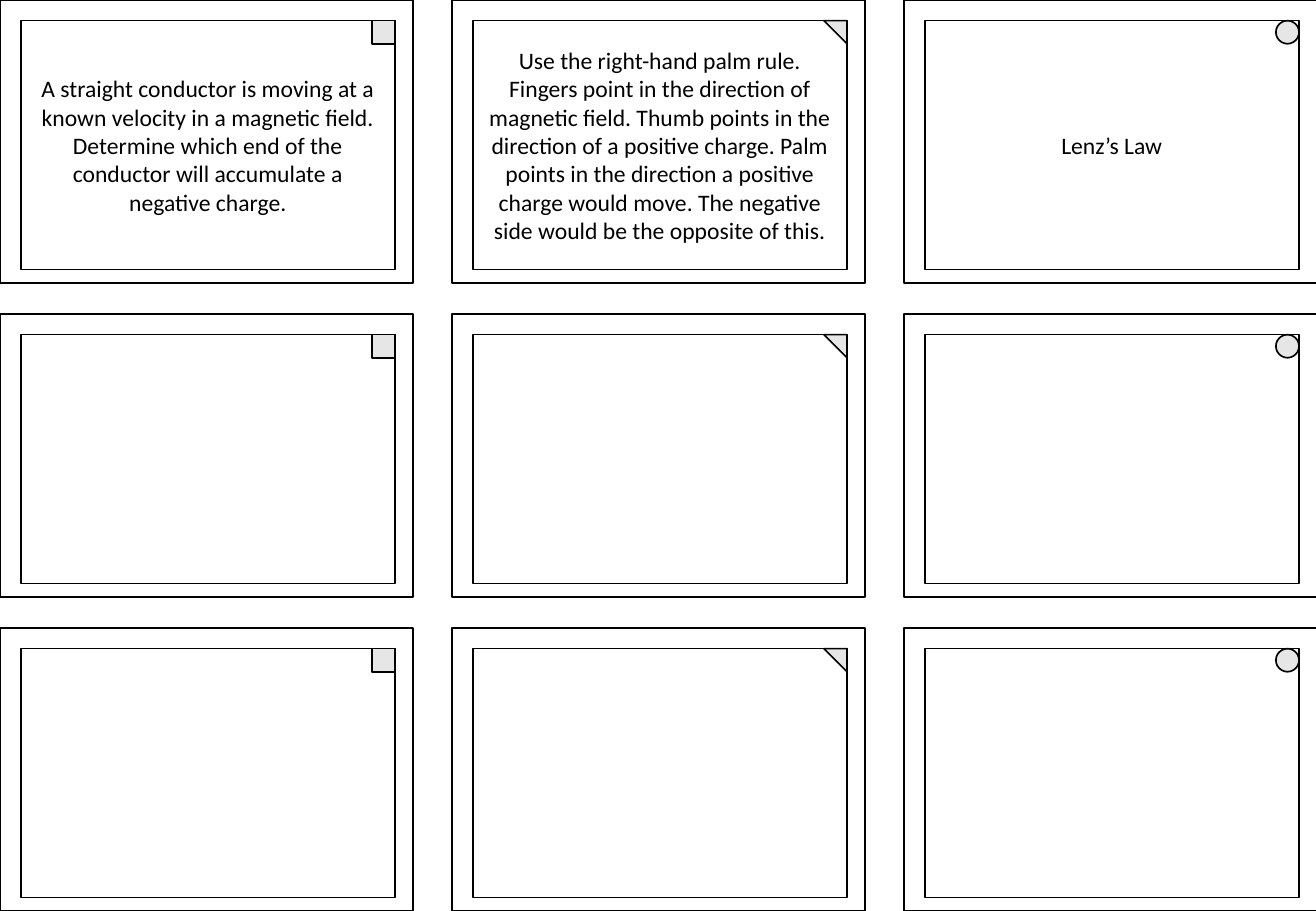
from pptx import Presentation
from pptx.dml.color import RGBColor
from pptx.enum.shapes import MSO_SHAPE as Shape
from pptx.enum.text import MSO_ANCHOR as Anchor, PP_ALIGN as Align
from pptx.util import Inches, Pt

COLORS = {"ink": "000000", "badge": "E7E6E6"}
FONT = {"name": "Calibri", "size": Pt(14)}

PAGE_WIDTH, PAGE_HEIGHT = 10.83, 7.5
CARD_WIDTH, CARD_HEIGHT = 3.4, 2.33
COLUMN_STEP = 3.72
ROW_STEP = (PAGE_HEIGHT - CARD_HEIGHT) / 2
ROWS = 3
MARGIN = 0.17
FRAME_WIDTH, FRAME_HEIGHT = 3.08, 2.05
BADGE_SIZE = 0.19

# One column per kind of card: badge shape, badge rotation, text of the top card
COLUMNS = [
    (Shape.RECTANGLE, 0,
     "A straight conductor is moving at a known velocity in a magnetic field. "
     "Determine which end of the conductor will accumulate a negative charge."),
    (Shape.RIGHT_TRIANGLE, 180,
     "Use the right-hand palm rule. Fingers point in the direction of magnetic "
     "field. Thumb points in the direction of a positive charge. Palm points in "
     "the direction a positive charge would move. The negative side would be "
     "the opposite of this."),
    (Shape.OVAL, 180, "Lenz’s Law"),
]


class CardSheet:
    """Draws cards on one page, placed by column and row of the grid."""

    def __init__(self, page):
        self.page = page

    def outline(self, shapes, kind, left, top, width, height, fill=None):
        shape = shapes.add_shape(
            kind, Inches(left), Inches(top), Inches(width), Inches(height))
        shape.shadow.inherit = False
        if fill:
            shape.fill.solid()
            shape.fill.fore_color.rgb = RGBColor.from_string(COLORS[fill])
        else:
            shape.fill.background()
        shape.line.color.rgb = RGBColor.from_string(COLORS["ink"])
        shape.line.width = Pt(1)
        return shape

    def label(self, box, text):
        box.text_frame.word_wrap = True
        box.text_frame.vertical_anchor = Anchor.MIDDLE
        para = box.text_frame.paragraphs[0]
        para.alignment = Align.CENTER
        span = para.add_run()
        span.text = text
        for name, value in FONT.items():
            setattr(span.font, name, value)
        span.font.color.rgb = RGBColor.from_string(COLORS["ink"])

    def card(self, column, row, text=None):
        left, top = column * COLUMN_STEP, row * ROW_STEP
        shapes = self.page.shapes
        self.outline(shapes, Shape.RECTANGLE, left, top, CARD_WIDTH, CARD_HEIGHT)
        frame = self.outline(shapes, Shape.RECTANGLE, left + MARGIN, top + MARGIN,
                             FRAME_WIDTH, FRAME_HEIGHT)
        if text:
            self.label(frame, text)

    def badges(self, column, kind, rotation):
        """Group one column's badges, each in its frame's top right corner."""
        group = self.page.shapes.add_group_shape()
        left = column * COLUMN_STEP + MARGIN + FRAME_WIDTH - BADGE_SIZE
        for row in range(ROWS):
            badge = self.outline(group.shapes, kind, left, row * ROW_STEP + MARGIN,
                                 BADGE_SIZE, BADGE_SIZE, "badge")
            badge.rotation = rotation


def main():
    deck = Presentation()
    deck.slide_width, deck.slide_height = Inches(PAGE_WIDTH), Inches(PAGE_HEIGHT)
    sheet = CardSheet(deck.slides.add_slide(deck.slide_layouts[6]))
    for column, (kind, rotation, text) in enumerate(COLUMNS):
        for row in range(ROWS):
            sheet.card(column, row, text if row == 0 else None)
        sheet.badges(column, kind, rotation)
    deck.save("out.pptx")


if __name__ == "__main__":
    main()
